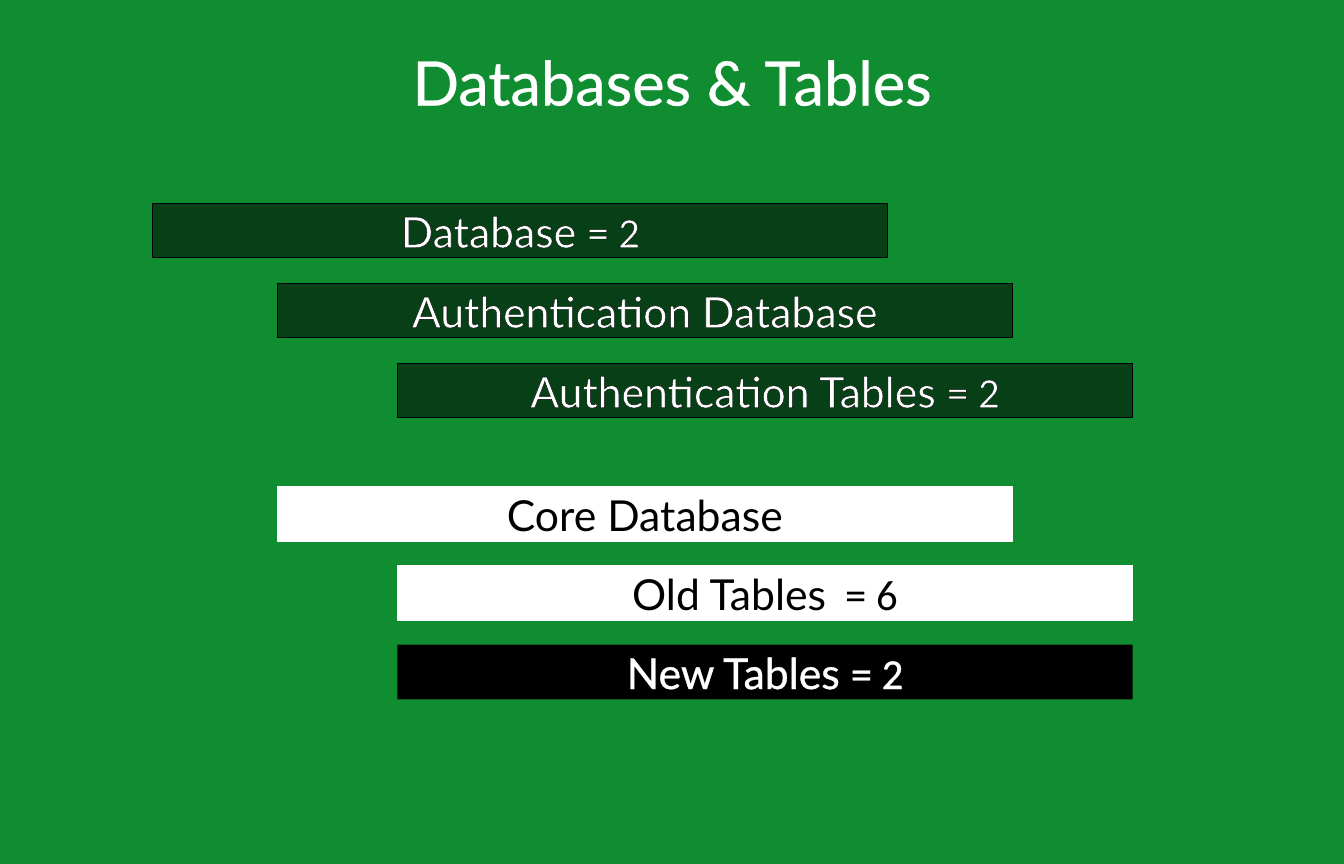
from dataclasses import dataclass

from lxml.etree import SubElement as Sub
from pptx import Presentation
from pptx.dml.color import RGBColor as Rgb
from pptx.enum.shapes import MSO_SHAPE as Shape
from pptx.enum.text import MSO_ANCHOR as Anchor, MSO_AUTO_SIZE as Auto, PP_ALIGN as Align
from pptx.oxml.ns import qn
from pptx.slide import Slide
from pptx.text.text import TextFrame as Frame
from pptx.util import Pt

HUES = {"green": "108D31", "black": "000000", "white": "FFFFFF"}
LEFTS = (114.5, 208, 298)
WIDE, HIGH = 551.5, 41


@dataclass
class Style:
    """Colours of a bar and its text."""
    fill: str
    text: str
    edge: str
    line: str = ""
    alpha: int = 100


@dataclass
class Bar:
    """One labelled bar, set in by its level."""
    level: int
    label: str
    count: str
    style: Style
    gap: float = 0


@dataclass
class Group:
    """Bars stacked at an equal step."""
    top: float
    step: float
    bars: list[Bar]


GLASS = Style("black", "white", "black", "black", 54)
PAPER = Style("white", "black", "black", "white")
INK = Style("black", "white", "white")
GROUPS = [
    Group(152.5, 60, [
        Bar(0, "Database", "= 2", GLASS),
        Bar(1, "Authentication Database", "", GLASS),
        Bar(2, "Authentication Tables", "= 2", GLASS),
    ]),
    Group(365, 59.25, [
        Bar(1, "Core Database", "", PAPER),
        Bar(2, "Old Tables", "= 6", PAPER, 6),
        Bar(2, "New Tables", "= 2", INK),
    ]),
]


def paint(hue: str) -> Rgb:
    """Return a named colour."""
    return Rgb.from_string(HUES[hue])


def set_frame(frame: Frame, wrap: bool) -> None:
    """Set margins, fit and centring of a text frame."""
    frame.margin_left = frame.margin_right = Pt(2)
    frame.margin_top = frame.margin_bottom = Pt(1.5)
    frame.word_wrap = wrap
    frame.auto_size = Auto.SHAPE_TO_FIT_TEXT
    frame.vertical_anchor = Anchor.MIDDLE
    frame.paragraphs[0].alignment = Align.CENTER


def add_run(frame: Frame, text: str, face: str, size: float, hue: str, edge: str,
            gap: float = 0) -> None:
    """Add a hairline-edged run, with extra letter spacing if given."""
    run = frame.paragraphs[0].add_run()
    run.text = text
    font = run.font
    font.name, font.size, font.color.rgb = face, Pt(size), paint(hue)
    props = run._r.get_or_add_rPr()
    if gap:
        props.set("spc", str(round(gap * 100)))
    line = Sub(props, qn("a:ln"), w="0")
    Sub(Sub(line, qn("a:solidFill")), qn("a:srgbClr"), val=HUES[edge])
    props.insert(0, line)


def add_bar(slide: Slide, bar: Bar, top: float) -> None:
    """Draw one bar with its text."""
    style = bar.style
    box = slide.shapes.add_shape(Shape.RECTANGLE, Pt(LEFTS[bar.level]), Pt(top), Pt(WIDE), Pt(HIGH))
    box.shadow.inherit = False
    box.fill.solid()
    box.fill.fore_color.rgb = paint(style.fill)
    if style.alpha < 100:
        tint = box._element.spPr.find(qn("a:solidFill"))[0]
        Sub(tint, qn("a:alpha"), val=str(style.alpha * 1000))
    if style.line:
        box.line.color.rgb = paint(style.line)
        box.line.width = Pt(0.75)
    else:
        box.line.fill.background()
    frame = box.text_frame
    set_frame(frame, True)
    add_run(frame, bar.label, "Lato", 32, style.text, style.edge)
    if bar.count:
        add_run(frame, " ", "Lato", 32, style.text, style.edge, bar.gap)
        add_run(frame, bar.count, "Calibri", 32, style.text, style.edge)


def add_title(slide: Slide, text: str) -> None:
    """Place and fill the title."""
    title = slide.shapes.title
    title.left, title.top, title.width, title.height = Pt(288.5), Pt(31.5), Pt(431), Pt(58.5)
    set_frame(title.text_frame, False)
    add_run(title.text_frame, text, "Lato", 46, "white", "white")


def main() -> None:
    """Build and save the slide."""
    deck = Presentation()
    deck.slide_width, deck.slide_height = Pt(1008), Pt(648)
    slide = deck.slides.add_slide(deck.slide_layouts[5])
    slide.background.fill.solid()
    slide.background.fill.fore_color.rgb = paint("green")
    add_title(slide, "Databases & Tables")
    for group in GROUPS:
        for row, bar in enumerate(group.bars):
            add_bar(slide, bar, group.top + row * group.step)
    deck.save("out.pptx")


if __name__ == "__main__":
    main()
